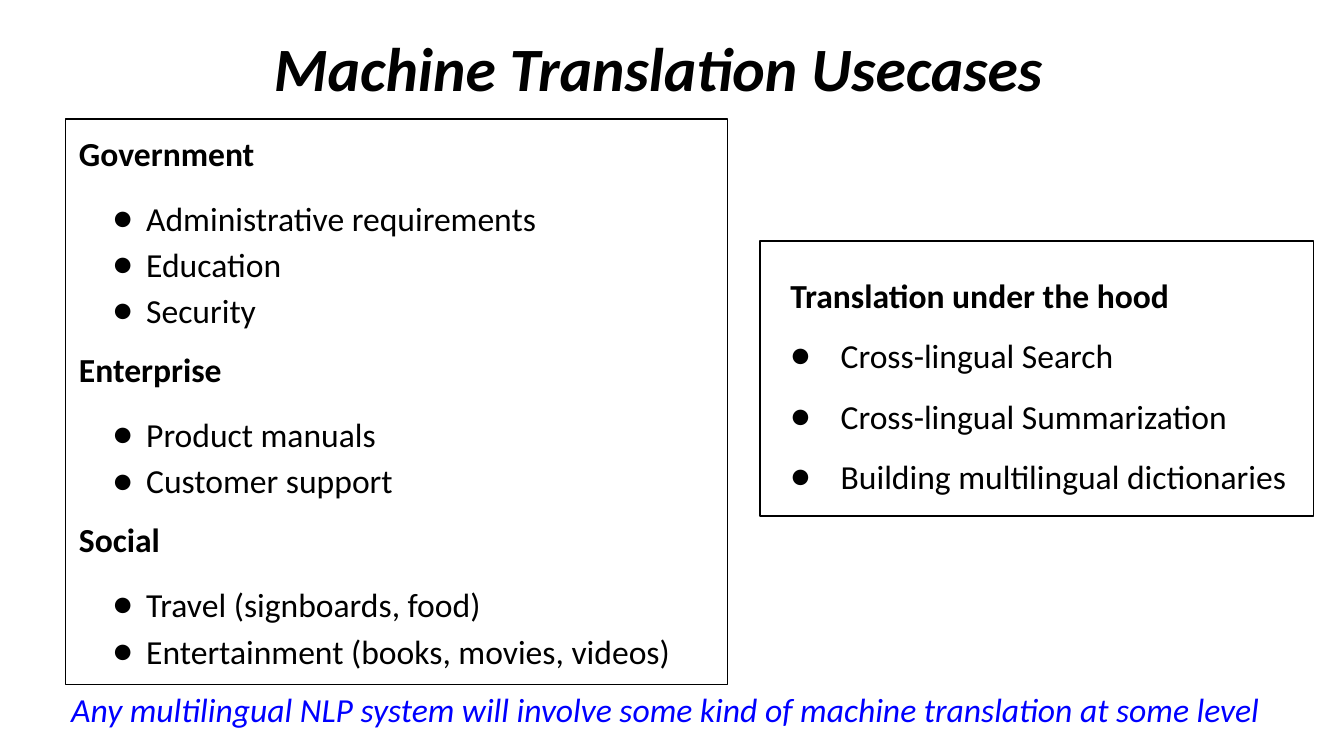
from lxml.etree import SubElement
from pptx import Presentation
from pptx.dml.color import RGBColor
from pptx.enum.text import MSO_ANCHOR, MSO_AUTO_SIZE, PP_ALIGN
from pptx.oxml.ns import qn
from pptx.util import Pt

COLORS = {"ink": "000000", "paper": "FFFFFF", "accent": "0000FF"}


class Deck:
    """Holds the style and the current slide."""

    font = "Calibri"
    size = 24
    inset = 9.6

    def __init__(self, slide):
        self.slide = slide

    def color(self, name):
        return RGBColor.from_string(COLORS[name])

    def place(self, shape, box):
        shape.left, shape.top, shape.width, shape.height = map(Pt, box)

    def frame(self, shape, inset):
        text = shape.text_frame
        text.word_wrap = True
        text.auto_size = MSO_AUTO_SIZE.NONE
        text.vertical_anchor = MSO_ANCHOR.TOP
        text.margin_left = text.margin_right = Pt(inset)
        text.margin_top = text.margin_bottom = Pt(inset)
        return text

    def run(self, para, words, size=size, color="ink", bold=False, italic=False):
        run = para.add_run()
        run.text = words
        font = run.font
        font.name, font.size = self.font, Pt(size)
        font.bold, font.italic = bold, italic
        font.color.rgb = self.color(color)

    def title(self, words, box):
        shape = self.slide.shapes.title
        self.place(shape, box)
        para = self.frame(shape, self.inset).paragraphs[0]
        para.alignment = PP_ALIGN.CENTER
        self.run(para, words, size=44, bold=True, italic=True)

    def note(self, words, box):
        shape = self.slide.shapes.add_textbox(*map(Pt, box))
        text = self.frame(shape, 7.2)
        text.margin_top = text.margin_bottom = Pt(3.6)
        text.auto_size = MSO_AUTO_SIZE.SHAPE_TO_FIT_TEXT
        para = text.paragraphs[0]
        para.alignment = PP_ALIGN.CENTER
        self.run(para, words, color="accent", italic=True)

    def indent(self, para, left, hang, bullet):
        props = para._p.get_or_add_pPr()
        props.set("marL", str(Pt(left)))
        props.set("indent", str(Pt(-hang)))
        if bullet:
            SubElement(props, qn("a:buFont")).set("typeface", self.font)
            SubElement(props, qn("a:buChar")).set("char", "●")
        else:
            SubElement(props, qn("a:buNone"))

    def panel(self, index, box, groups, hang, lead=0, head=1.0, line=1.5, gap=0):
        shape = self.slide.placeholders[index]
        self.place(shape, box)
        shape.fill.solid()
        shape.fill.fore_color.rgb = self.color("paper")
        shape.line.color.rgb = self.color("ink")
        shape.line.width = Pt(1)
        text = self.frame(shape, self.inset)

        rows = []
        for name, items in groups.items():
            rows.append((name, True, gap))
            rows += [(item, False, 0) for item in items[:-1]]
            rows.append((items[-1], False, gap))
        for pos, (words, top, after) in enumerate(rows):
            para = text.add_paragraph() if pos else text.paragraphs[0]
            self.indent(para, lead if top else 48, 0 if top else hang, not top)
            para.alignment = PP_ALIGN.LEFT
            para.line_spacing = head if top else line
            para.space_before, para.space_after = Pt(0), Pt(after)
            self.run(para, words, bold=top)


def main():
    prs = Presentation()
    prs.slide_width, prs.slide_height = Pt(960), Pt(540)
    deck = Deck(prs.slides.add_slide(prs.slide_layouts[3]))

    # Title
    deck.title("Machine Translation Usecases", (28.8, 11.5, 883.4, 41.8))

    # Use cases by sector
    sectors = {
        "Government": ["Administrative requirements", "Education", "Security"],
        "Enterprise": ["Product manuals", "Customer support"],
        "Social": ["Travel (signboards, food)",
                   "Entertainment (books, movies, videos)"],
    }
    deck.panel(1, (46.8, 85, 473, 403.9), sectors, hang=24, line=1.15, gap=13.3)

    # Hidden uses
    hood = {
        "Translation under the hood": ["Cross-lingual Search",
                                       "Cross-lingual Summarization",
                                       "Building multilingual dictionaries"],
    }
    deck.panel(2, (542.9, 172.1, 395.3, 196.6), hood, hang=36, lead=12, head=1.5)

    # Takeaway
    deck.note("Any multilingual NLP system will involve some kind of "
              "machine translation at some level", (0, 488.9, 950.4, 36))

    prs.save("out.pptx")


if __name__ == "__main__":
    main()
